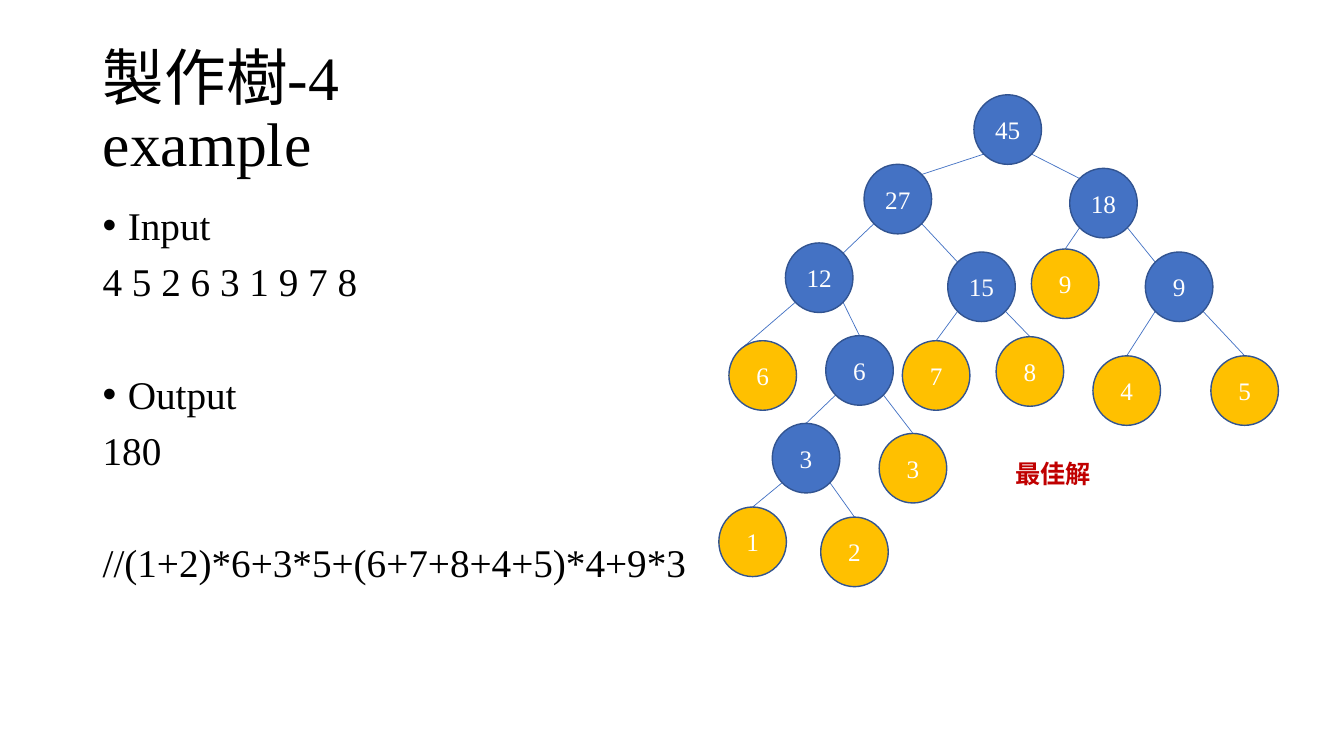
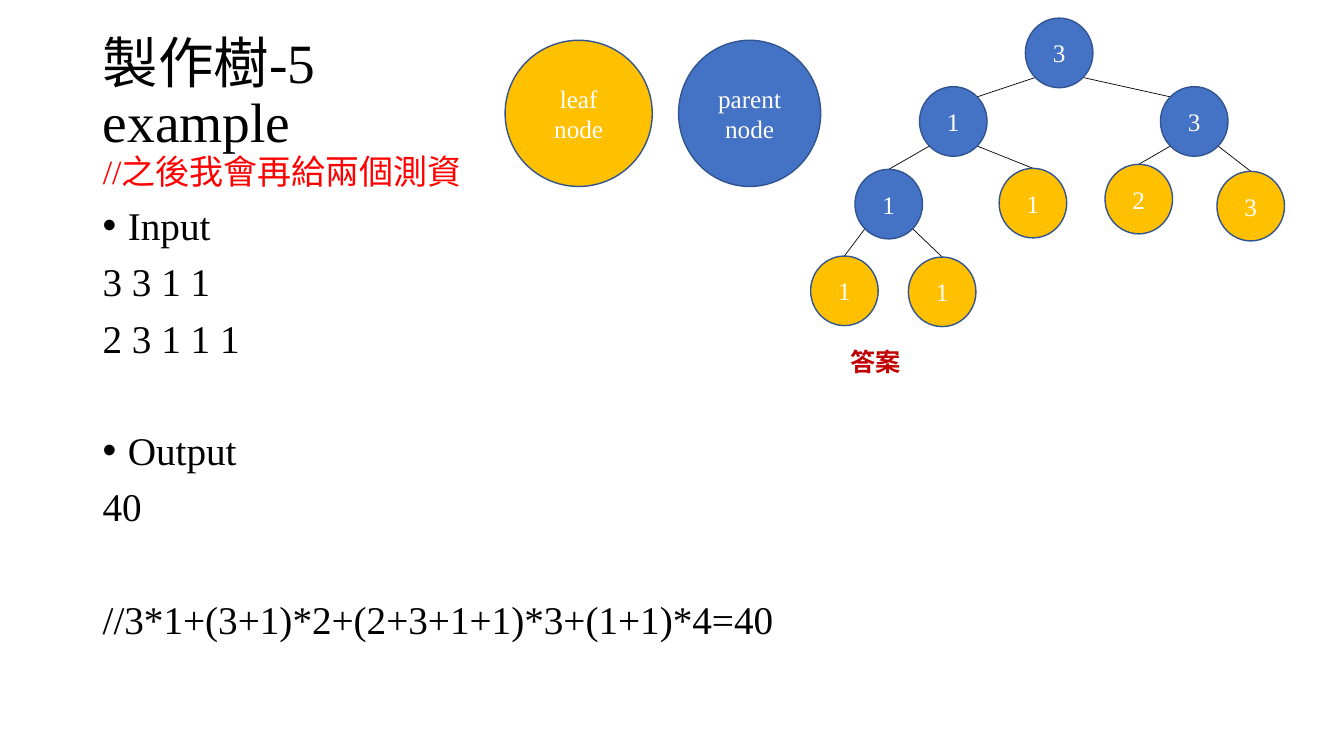
from math import sqrt
from lxml import etree
from pptx import Presentation
from pptx.dml.color import RGBColor
from pptx.enum.shapes import MSO_CONNECTOR, MSO_SHAPE
from pptx.enum.text import MSO_ANCHOR, MSO_AUTO_SIZE, PP_ALIGN
from pptx.oxml.ns import qn
from pptx.util import Inches, Pt

OVAL = MSO_SHAPE.OVAL
LINE = MSO_CONNECTOR.STRAIGHT
MIDDLE = MSO_ANCHOR.MIDDLE
LEFT, CENTER = PP_ALIGN.LEFT, PP_ALIGN.CENTER
FIXED, GROW = MSO_AUTO_SIZE.NONE, MSO_AUTO_SIZE.SHAPE_TO_FIT_TEXT

BLACK = RGBColor(0, 0, 0)
WHITE = RGBColor(255, 255, 255)
BLUE = RGBColor(0x44, 0x72, 0xC4)
NAVY = RGBColor(0x32, 0x54, 0x91)
GOLD = RGBColor(0xFF, 0xC0, 0)
RED = RGBColor(0xFF, 0, 0)
WINE = RGBColor(0xC0, 0, 0)
FONT = "Times New Roman"
WIDE, HIGH = 0.67, 0.69

# name: label, left, top, parent, side where the edge arrives (-1, 0, 1)
SLIDES = [
    {
        "title": [("製作樹-4", 44, BLACK), ("example", 44, BLACK)],
        "body": [
            ("Input", ["4 5 2 6 3 1 9 7 8"]),
            ("Output", ["180"]),
        ],
        "sum": "//(1+2)*6+3*5+(6+7+8+4+5)*4+9*3",
        "edge": BLUE,
        "nodes": {
            "root": ("45", 9.66, 0.94, None, 0),
            "l": ("27", 8.57, 1.63, "root", 1),
            "r": ("18", 10.61, 1.67, "root", -1),
            "ll": ("12", 7.79, 2.41, "l", 1),
            "lr": ("15", 9.4, 2.5, "l", -1),
            "rl": ("9", 10.23, 2.47, "r", 0),
            "rr": ("9", 11.36, 2.5, "r", -1),
            "lll": ("6", 7.23, 3.38, "ll", -1),
            "llr": ("6", 8.19, 3.33, "ll", 0),
            "lrl": ("7", 8.95, 3.38, "lr", 0),
            "lrr": ("8", 9.88, 3.34, "lr", 0),
            "rrl": ("4", 10.84, 3.53, "rr", 0),
            "rrr": ("5", 12.01, 3.53, "rr", 0),
            "llrl": ("3", 7.66, 4.2, "llr", 0),
            "llrr": ("3", 8.72, 4.3, "llr", 0),
            "llrll": ("1", 7.13, 5.03, "llrl", 0),
            "llrlr": ("2", 8.14, 5.13, "llrl", 0),
        },
        "key": [],
        "note": ("最佳解", 9.97, 4.5, 1.14),
    },
    {
        "title": [("製作樹-5", 39.6, BLACK), ("example", 39.6, BLACK),
                  ("//之後我會再給兩個測資", 24.3, RED)],
        "body": [
            ("Input", ["3 3 1 1", "2 3 1 1 1"]),
            ("Output", ["40"]),
        ],
        "sum": "//3*1+(3+1)*2+(2+3+1+1)*3+(1+1)*4=40",
        "edge": BLACK,
        "nodes": {
            "root": ("3", 10.17, 0.18, None, 0),
            "l": ("1", 9.12, 0.86, "root", 1),
            "r": ("3", 11.51, 0.86, "root", -1),
            "ll": ("1", 8.48, 1.68, "l", 0),
            "lr": ("1", 9.91, 1.67, "l", 0),
            "rl": ("2", 10.96, 1.63, "r", 0),
            "rr": ("3", 12.07, 1.7, "r", 0),
            "lll": ("1", 8.04, 2.54, "ll", 0),
            "llr": ("1", 9.01, 2.55, "ll", 0),
        },
        "key": [("leaf node", 5.01, 1.46, GOLD), ("parent node", 6.73, 1.41, BLUE)],
        "note": ("答案", 8.34, 3.39, 0.94),
    },
]


def style(para, size, color, align=LEFT, bold=False):
    para.alignment = align
    for run in para.runs:
        font = run.font
        font.name, font.size, font.bold = FONT, Pt(size), bold
        font.color.rgb = color


def add_title(slide, lines):
    title = slide.shapes.title
    title.left, title.top = Inches(0.92), Inches(0.4)
    title.width, title.height = Inches(11.5), Inches(1.45)
    frame = title.text_frame
    frame.text = "\n".join(text for text, size, color in lines)
    frame.auto_size, frame.vertical_anchor = FIXED, MIDDLE
    for para, (text, size, color) in zip(frame.paragraphs, lines):
        style(para, size, color)
        para.line_spacing = 0.9
        para.space_before = Pt(0)


def add_bullet(para):
    props = para._p.get_or_add_pPr()
    props.set("marL", str(Inches(0.25)))
    props.set("indent", str(-Inches(0.25)))
    etree.SubElement(props, qn("a:buFont")).set("typeface", "Arial")
    etree.SubElement(props, qn("a:buChar")).set("char", "•")


def add_body(slide, parts, total):
    box = slide.shapes.add_textbox(Inches(0.92), Inches(2), Inches(11.5), Inches(4.76))
    frame = box.text_frame
    frame.word_wrap = True
    rows = []
    for head, lines in parts:
        rows.append((head, True, 50 if rows else 10))
        rows += [(line, False, 10) for line in lines]
    rows.append((total, False, 50))
    frame.text = "\n".join(row[0] for row in rows)
    for para, (text, dot, gap) in zip(frame.paragraphs, rows):
        style(para, 28, BLACK)
        para.line_spacing = 0.9
        para.space_before = Pt(gap)
        if dot:
            add_bullet(para)


def add_node(slide, text, left, top, wide, high, fill):
    node = slide.shapes.add_shape(OVAL, Inches(left), Inches(top), Inches(wide), Inches(high))
    node.shadow.inherit = False
    node.fill.solid()
    node.fill.fore_color.rgb = fill
    node.line.color.rgb = NAVY
    node.line.width = Pt(1)
    frame = node.text_frame
    frame.text = text
    frame.word_wrap, frame.vertical_anchor = True, MIDDLE
    style(frame.paragraphs[0], 18, WHITE, CENTER)


def rim(left, top, side, down):
    scale = sqrt(0.5) if side else 1
    x = left + WIDE / 2 * (1 + side * scale)
    y = top + HIGH / 2 * (1 + down * scale)
    return Inches(x), Inches(y)


def add_tree(slide, nodes, color):
    parents = {node[3] for node in nodes.values()}
    for text, left, top, up, side in nodes.values():
        if up is None:
            continue
        base = nodes[up]
        turn = 1 if left > base[1] else -1
        start = rim(base[1], base[2], turn, 1)
        end = rim(left, top, side, -1)
        edge = slide.shapes.add_connector(LINE, *start, *end)
        edge.line.color.rgb = color
        edge.line.width = Pt(0.5)
        etree.SubElement(edge._element.spPr, qn("a:effectLst"))
    for name, (text, left, top, up, side) in nodes.items():
        fill = BLUE if name in parents else GOLD
        add_node(slide, text, left, top, WIDE, HIGH, fill)


def add_note(slide, text, left, top, wide):
    box = slide.shapes.add_textbox(Inches(left), Inches(top), Inches(wide), Inches(0.4))
    frame = box.text_frame
    frame.text = text
    frame.word_wrap, frame.auto_size = True, GROW
    style(frame.paragraphs[0], 18, WINE, bold=True)


deck = Presentation()
deck.slide_width, deck.slide_height = Inches(13.33), Inches(7.5)
for data in SLIDES:
    slide = deck.slides.add_slide(deck.slide_layouts[5])
    add_title(slide, data["title"])
    add_body(slide, data["body"], data["sum"])
    add_tree(slide, data["nodes"], data["edge"])
    for text, left, wide, fill in data["key"]:
        add_node(slide, text, left, 0.4, wide, 1.45, fill)
    add_note(slide, *data["note"])
deck.save("out.pptx")
